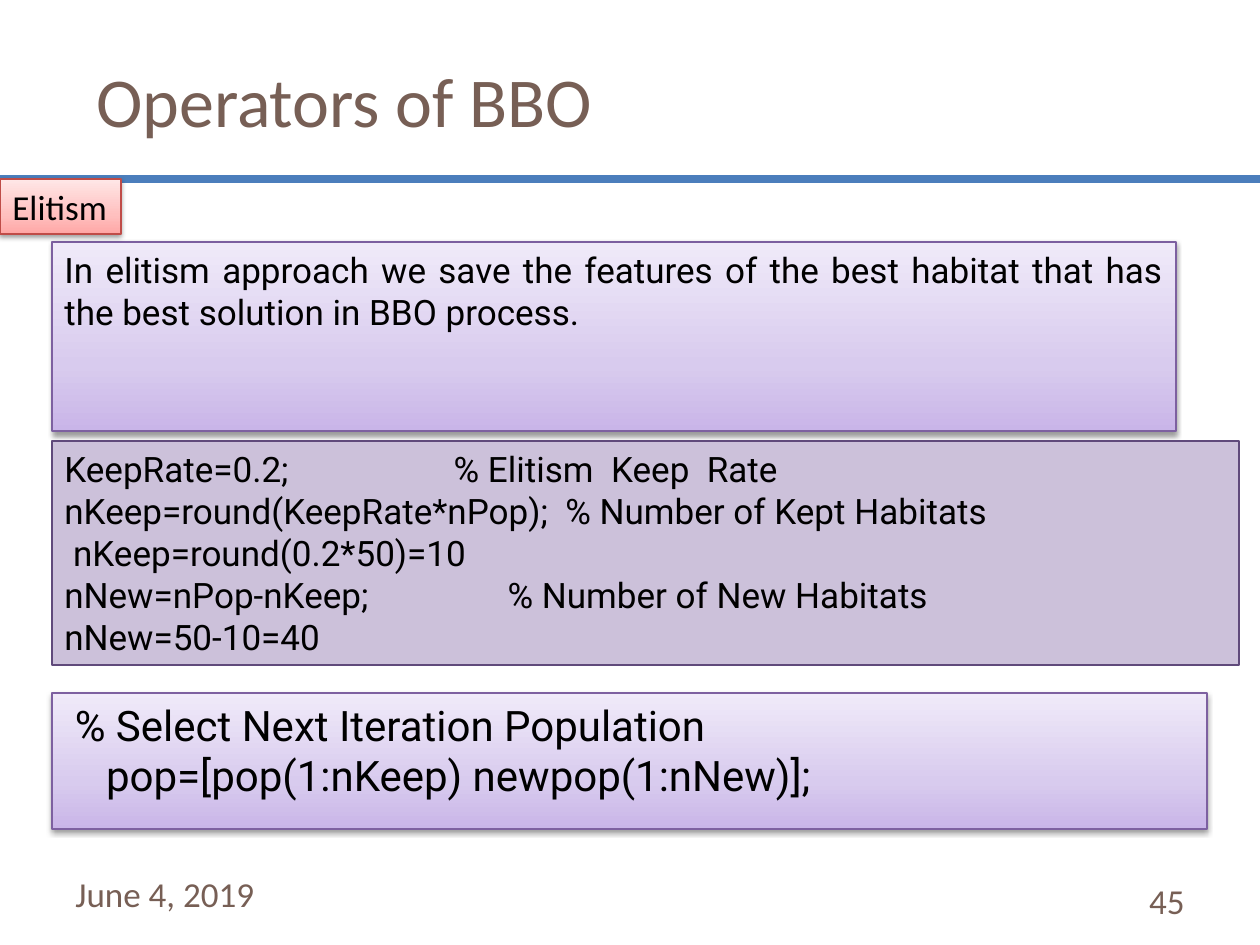
from copy import deepcopy

from lxml import etree
from pptx import Presentation
from pptx.dml.color import RGBColor
from pptx.enum.shapes import MSO_CONNECTOR, MSO_SHAPE
from pptx.enum.text import MSO_ANCHOR, PP_ALIGN
from pptx.oxml.ns import qn
from pptx.util import Pt

PX = 914400 / 126
RECTANGLE = MSO_SHAPE.RECTANGLE
STRAIGHT = MSO_CONNECTOR.STRAIGHT
TOP, MIDDLE = MSO_ANCHOR.TOP, MSO_ANCHOR.MIDDLE
LEFT, RIGHT, JUSTIFY = PP_ALIGN.LEFT, PP_ALIGN.RIGHT, PP_ALIGN.JUSTIFY

COLORS = {
    "text": "000000",
    "heading": "775F55",
    "rule": "4B7EBC",
    "purple_line": "7D60A0",
    "red_line": "BF4C48",
    "code_fill": "CCC1DA",
    "code_line": "604A7B",
    "shadow": "000000",
}
# Gradient colours run from the bottom edge to the top edge.
GRADIENT_POSITIONS = (0, 0.35, 1)
PURPLE_GRADIENT = ("C9B5E8", "D8CBEE", "F0EAF9")
RED_GRADIENT = ("FFA6A5", "FFC0BF", "FFE7E7")

KEEP_CODE = (
    "KeepRate=0.2;                   % Elitism  Keep  Rate",
    "nKeep=round(KeepRate*nPop);  % Number of Kept Habitats",
    " nKeep=round(0.2*50)=10",
    "nNew=nPop-nKeep;                % Number of New Habitats",
    "nNew=50-10=40",
)
SELECT_CODE = (
    " % Select Next Iteration Population",
    "    pop=[pop(1:nKeep) newpop(1:nNew)];",
)


def px(*lengths):
    return [round(length * PX) for length in lengths]


def rgb(name):
    return RGBColor.from_string(COLORS[name])


def write(box, lines, size=20, font="Roboto", color="text",
          align=LEFT, anchor=TOP, wrap=True):
    frame = box.text_frame
    frame.word_wrap = wrap
    frame.vertical_anchor = anchor
    for index, line in enumerate(lines):
        para = frame.paragraphs[0] if index == 0 else frame.add_paragraph()
        para.alignment = align
        span = para.add_run()
        span.text = line
        span.font.size = Pt(size)
        span.font.name = font
        span.font.color.rgb = rgb(color)


def add_label(page, place, text, **style):
    box = page.shapes.add_textbox(*px(*place))
    write(box, [text], font="Calibri", color="heading", anchor=MIDDLE, **style)


def add_panel(page, place, line):
    panel = page.shapes.add_shape(RECTANGLE, *px(*place))
    panel.shadow.inherit = False
    panel.line.color.rgb = rgb(line)
    panel.line.width = Pt(0.75)
    return panel


def add_drop_shadow(panel):
    effects = panel._element.spPr.find(qn("a:effectLst"))
    shadow = etree.SubElement(
        effects, qn("a:outerShdw"), blurRad=str(Pt(3.1)), dist=str(Pt(1.6)),
        dir=str(90 * 60000), rotWithShape="0")
    color = etree.SubElement(shadow, qn("a:srgbClr"), val=COLORS["shadow"])
    etree.SubElement(color, qn("a:alpha"), val="38000")


def add_gradient_panel(page, place, line, gradient):
    panel = add_panel(page, place, line)
    panel.fill.gradient()
    panel.fill.gradient_angle = 90
    stop_list = panel._element.spPr.find(".//" + qn("a:gsLst"))
    stop_list.append(deepcopy(stop_list[-1]))
    stops = panel.fill.gradient_stops
    for stop, position, color in zip(stops, GRADIENT_POSITIONS, gradient):
        stop.position = position
        stop.color.rgb = RGBColor.from_string(color)
    add_drop_shadow(panel)
    return panel


def add_code_panel(page, place, lines):
    panel = add_panel(page, place, "code_line")
    panel.fill.solid()
    panel.fill.fore_color.rgb = rgb("code_fill")
    write(panel, lines)


def add_rule(page, y, width):
    rule = page.shapes.add_connector(STRAIGHT, *px(0, y, width, y))
    rule.line.color.rgb = rgb("rule")
    rule.line.width = Pt(4.5)
    etree.SubElement(rule._element.spPr, qn("a:effectLst"))


def main():
    deck = Presentation()
    deck.slide_width, deck.slide_height = px(1260, 945)
    page = deck.slides.add_slide(deck.slide_layouts[6])

    summary = add_gradient_panel(
        page, (52, 242, 1124, 189), "purple_line", PURPLE_GRADIENT)
    write(summary, ["In elitism approach we save the features of the best "
                    "habitat that has the best solution in BBO process."],
          align=JUSTIFY)

    add_label(page, (84, 32, 1124, 136), "Operators of BBO", size=40)
    add_rule(page, 179, 1260)

    tag = add_gradient_panel(
        page, (0, 179, 121, 55), "red_line", RED_GRADIENT)
    write(tag, ["Elitism"], font="Calibri", wrap=False)

    add_label(page, (63, 861, 420, 65), "June 4, 2019")
    add_label(page, (903, 876, 294, 50), "45", align=RIGHT)

    add_code_panel(page, (52, 441, 1187, 224), KEEP_CODE)
    selection = add_gradient_panel(
        page, (52, 693, 1155, 136), "purple_line", PURPLE_GRADIENT)
    write(selection, SELECT_CODE, size=24)

    deck.save("out.pptx")


if __name__ == "__main__":
    main()
